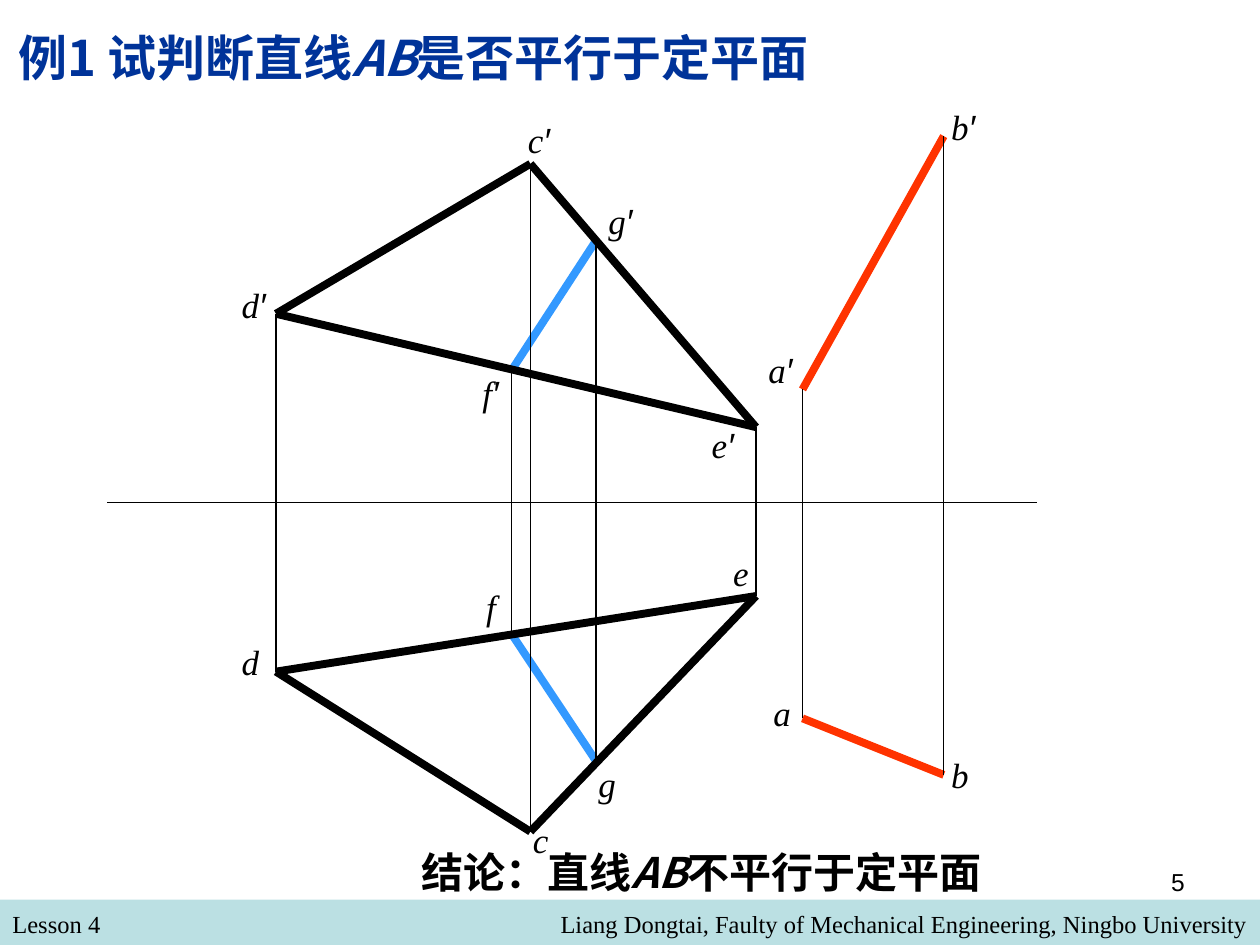
from itertools import combinations

from lxml import etree
from pptx import Presentation
from pptx.dml.color import RGBColor
from pptx.enum import shapes, text
from pptx.oxml import ns
from pptx.util import Pt

BLACK = RGBColor(0x00, 0x00, 0x00)
NAVY = RGBColor(0x00, 0x33, 0x99)
BLUE = RGBColor(0x33, 0x99, 0xFF)
RED = RGBColor(0xFF, 0x33, 0x00)
TEAL = RGBColor(0xBB, 0xE0, 0xE3)
SERIF, SANS, HAN = "Times New Roman", "Arial", "Noto Sans CJK SC"
THIN, THICK = 0.75, 4.5

# name: x, front y, top y, front label corner, top label corner
POINTS = {
    "a": (398.6, 172.5, 360.5, (372, 145.8), (374.9, 341.7)),
    "b": (479.3, 27.8, 392.8, (476.4, 6.9), (476.4, 377)),
    "c": (243.1, 43.6, 425.2, (234.5, 14.1), (237.4, 414.4)),
    "d": (97.7, 129.3, 333.8, (71, 108.4), (71, 312.2)),
    "e": (372, 194.1, 290.6, (339.6, 188.3), (351.8, 261.4)),
    "f": (232.3, 161.7, 312.2, (208.6, 158.8), (210.7, 281.2)),
    "g": (280.6, 87.5, 384.9, (280.6, 60.2), (274.8, 382)),
}


def add_text(slide, box, runs, size, color=BLACK, align=text.PP_ALIGN.LEFT, wrap=True):
    """Add one paragraph of (wording, font, bold, italic) runs in a box."""
    frame = slide.shapes.add_textbox(*map(Pt, box)).text_frame
    frame.word_wrap = wrap
    paragraph = frame.paragraphs[0]
    paragraph.alignment = align
    for wording, face, bold, italic in runs:
        run = paragraph.add_run()
        run.text = wording
        font = run.font
        font.size, font.name, font.bold, font.italic = Pt(size), face, bold, italic
        font.color.rgb = color
        east_asian = etree.SubElement(run._r.get_or_add_rPr(), ns.qn("a:ea"))
        east_asian.set("typeface", face)


def add_line(slide, start, end, color, width):
    """Draw a straight line without shadow."""
    line = slide.shapes.add_connector(
        shapes.MSO_CONNECTOR.STRAIGHT, *map(Pt, (*start, *end)))
    line.line.color.rgb = color
    line.line.width = Pt(width)
    etree.SubElement(line._element.spPr, ns.qn("a:effectLst"))


def add_sentence(slide, box, before, after, size, color, wrap):
    """Write a bold sentence about the line AB."""
    runs = [(before, HAN, True, False), ("AB", HAN, True, True), (after, HAN, True, False)]
    add_text(slide, box, runs, size, color, wrap=wrap)


def add_footer(slide, left, top, width, height):
    """Draw the footer band with lesson, author and page number."""
    band = slide.shapes.add_shape(
        shapes.MSO_SHAPE.RECTANGLE, *map(Pt, (left, top, width, height)))
    band.shadow.inherit = False
    band.fill.solid()
    band.fill.fore_color.rgb = TEAL
    band.line.fill.background()
    right = text.PP_ALIGN.RIGHT
    add_text(slide, (left, top + 2.2, 348, 24.5), [("Lesson 4", SERIF, False, False)], 14)
    author = "Liang Dongtai, Faulty of Mechanical Engineering, Ningbo University"
    add_text(slide, (left + 132, top + 2.2, width - 132, 24.5),
             [(author, SERIF, False, False)], 14, align=right)
    add_text(slide, (left + 516, top - 22.3, 168, 37.4),
             [("5", SANS, False, False)], 14, align=right)


def add_projections(slide, left, top):
    """Draw the front and top views, joined across the axis."""
    def place(name, view):
        """Locate a point in view 1 (front) or 2 (top)."""
        return left + POINTS[name][0], top + POINTS[name][view]

    edges = [("f", "g", BLUE), ("a", "b", RED)]
    edges += [(*pair, BLACK) for pair in combinations("cde", 2)]
    for start, end, color in edges:
        for view in (1, 2):
            add_line(slide, place(start, view), place(end, view), color, THICK)
    add_line(slide, (left + 1.2, top + 237.3), (left + 532.6, top + 237.3), BLACK, THIN)
    for name, (*_, front_label, top_label) in POINTS.items():
        add_line(slide, place(name, 1), place(name, 2), BLACK, THIN)
        letter, prime = (name, SERIF, False, True), ("′", SANS, False, True)
        for (x, y), runs in ((front_label, [letter, prime]), (top_label, [letter])):
            add_text(slide, (left + x, top + y, 37.4, 31.5), runs, 20)


def main():
    """Build and save the slide."""
    deck = Presentation()
    deck.slide_width, deck.slide_height = Pt(720), Pt(540)
    slide = deck.slides.add_slide(deck.slide_layouts[6])
    add_footer(slide, 0, 514, 720, 26)
    add_projections(slide, 60, 50)
    add_sentence(slide, (234, 480.2, 443, 36), "结论：直线", "不平行于定平面", 24, BLACK, True)
    add_sentence(slide, (3.6, 12.2, 500, 41), "例1 试判断直线", "是否平行于定平面", 28, NAVY, False)
    deck.save("out.pptx")


if __name__ == "__main__":
    main()
